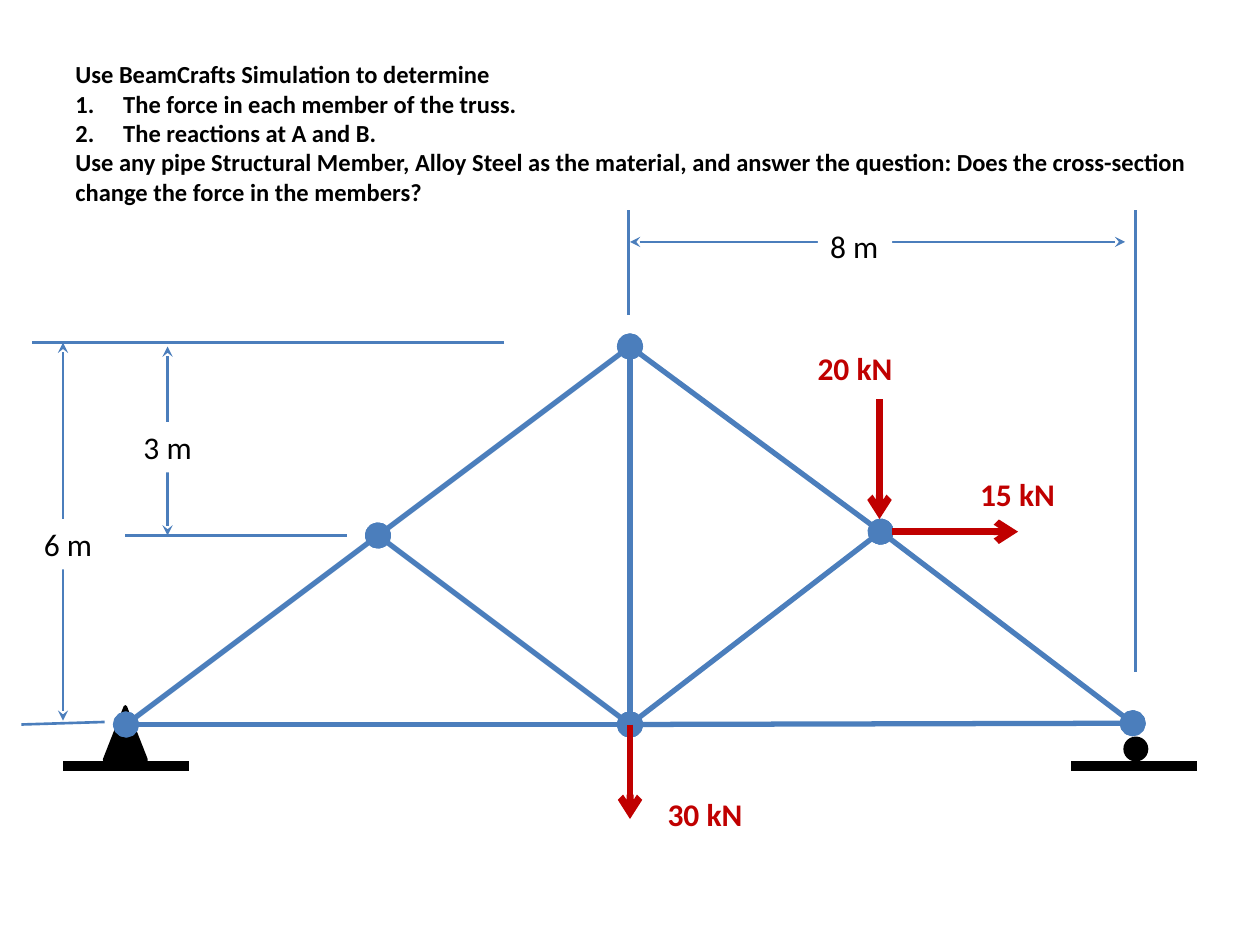
from lxml.etree import SubElement
from pptx import Presentation
from pptx.dml.color import RGBColor
from pptx.enum.shapes import MSO_CONNECTOR, MSO_SHAPE
from pptx.enum.text import MSO_AUTO_SIZE
from pptx.oxml.ns import qn
from pptx.util import Inches, Pt

BLUE = RGBColor(0x4B, 0x7E, 0xBC)
RED = RGBColor(0xC0, 0x00, 0x00)
BLACK = RGBColor(0x00, 0x00, 0x00)
WHITE = RGBColor(0xFF, 0xFF, 0xFF)

LEFT, MIDDLE, RIGHT = (1, 5.75), (5, 5.75), (8.99, 5.74)
APEX, LEFT_MID, RIGHT_MID = (5, 2.75), (3, 4.25), (6.99, 4.22)
MEMBERS = [
    (LEFT, MIDDLE), (MIDDLE, RIGHT), (APEX, MIDDLE), (LEFT_MID, APEX),
    (LEFT, LEFT_MID), (LEFT_MID, MIDDLE), (APEX, RIGHT_MID),
    (RIGHT_MID, RIGHT), (MIDDLE, RIGHT_MID),
]
FORCES = [
    ((5, 5.75), (5, 6.5)), ((6.98, 3.17), (6.98, 4.12)), ((7.08, 4.22), (8.08, 4.22)),
]
EXTENSIONS = [
    ((4, 2.72), (0.25, 2.72)), ((0.83, 5.73), (0.17, 5.75)), ((2.75, 4.25), (0.99, 4.25)),
    ((4.99, 1.67), (4.99, 2.5)), ((9.01, 1.67), (9.01, 5.33)),
]
DIMENSIONS = [
    ((0.5, 2.72), (0.5, 5.72)), ((1.33, 4.25), (1.33, 2.75)), ((5, 1.92), (8.93, 1.92)),
]
LENGTH_LABELS = [("6 m", 0.25, 4.12), ("3 m", 1.04, 3.35), ("8 m", 6.49, 1.75)]
FORCE_LABELS = [("30 kN", 5.2, 6.26), ("20 kN", 6.39, 2.72), ("15 kN", 7.68, 3.72)]
TASK = [
    ("Use BeamCrafts Simulation to determine", False),
    ("The force in each member of the truss.", True),
    ("The reactions at A and B.", True),
    ("Use any pipe Structural Member, Alloy Steel as the material, and answer the "
     "question: Does the cross-section change the force in the members?", False),
]


def add_line(s, start, end, color=BLUE, width=1.5, head=None, tail=None, size="med"):
    """Draw a straight line with optional end marks."""
    sp = s.shapes.add_connector(
        MSO_CONNECTOR.STRAIGHT, *(Inches(v) for v in (*start, *end)))
    sp.line.color.rgb = color
    sp.line.width = Pt(width)
    ln = sp.line._get_or_add_ln()
    for tag, kind in (("a:headEnd", head), ("a:tailEnd", tail)):
        if kind:
            SubElement(ln, qn(tag), type=kind, w=size, len=size)
    SubElement(sp._element.spPr, qn("a:effectLst"))


def add_support(s, kind, x, y, w, h):
    """Draw a solid black support part."""
    sp = s.shapes.add_shape(kind, Inches(x), Inches(y), Inches(w), Inches(h))
    sp.shadow.inherit = False
    sp.fill.solid()
    sp.fill.fore_color.rgb = BLACK
    sp.line.color.rgb = BLACK
    sp.line.width = Pt(2)


def add_run(p, text, size=18, color=BLACK, bold=False):
    """Append a formatted run to a paragraph."""
    r = p.add_run()
    r.text = text
    r.font.name = "Calibri"
    r.font.size = Pt(size)
    r.font.bold = bold
    r.font.color.rgb = color


def add_label(s, text, x, y, width=0.59, **fmt):
    """Place a white-backed label on the diagram."""
    sp = s.shapes.add_textbox(Inches(x), Inches(y), Inches(width), Inches(0.4))
    sp.fill.solid()
    sp.fill.fore_color.rgb = WHITE
    tf = sp.text_frame
    tf.word_wrap = False
    tf.auto_size = MSO_AUTO_SIZE.SHAPE_TO_FIT_TEXT
    add_run(tf.paragraphs[0], text, **fmt)


def add_task(s):
    """Write the problem statement with its numbered items."""
    sp = s.shapes.add_textbox(Inches(0.5), Inches(0.42), Inches(9.17), Inches(1.28))
    tf = sp.text_frame
    tf.word_wrap = True
    tf.auto_size = MSO_AUTO_SIZE.SHAPE_TO_FIT_TEXT
    for i, (text, numbered) in enumerate(TASK):
        p = tf.add_paragraph() if i else tf.paragraphs[0]
        if numbered:
            pPr = p._p.get_or_add_pPr()
            pPr.set("marL", str(Inches(0.38)))
            pPr.set("indent", str(-Inches(0.38)))
            SubElement(pPr, qn("a:buFont"), typeface="+mj-lt")
            SubElement(pPr, qn("a:buAutoNum"), type="arabicPeriod")
        add_run(p, text, size=14, bold=True)


def main():
    """Build the truss problem slide."""
    prs = Presentation()
    prs.slide_width, prs.slide_height = Inches(10), Inches(7.5)
    s = prs.slides.add_slide(prs.slide_layouts[6])

    add_support(s, MSO_SHAPE.ISOSCELES_TRIANGLE, 0.83, 5.61, 0.33, 0.42)
    for start, end in MEMBERS:
        add_line(s, start, end, width=3, head="oval", tail="oval", size="lg")
    for start, end in FORCES:
        add_line(s, start, end, color=RED, width=4, tail="arrow")
    add_support(s, MSO_SHAPE.OVAL, 8.93, 5.86, 0.17, 0.17)
    for x in (8.5, 0.5):
        add_line(s, (x, 6.08), (x + 1, 6.08), color=BLACK, width=6)
    for start, end in EXTENSIONS:
        add_line(s, start, end)
    for start, end in DIMENSIONS:
        add_line(s, start, end, head="stealth", tail="stealth")
    for text, x, y in LENGTH_LABELS:
        add_label(s, text, x, y)
    for text, x, y in FORCE_LABELS:
        add_label(s, text, x, y, width=0.8, color=RED, bold=True)
    add_task(s)
    prs.save("out.pptx")


if __name__ == "__main__":
    main()
